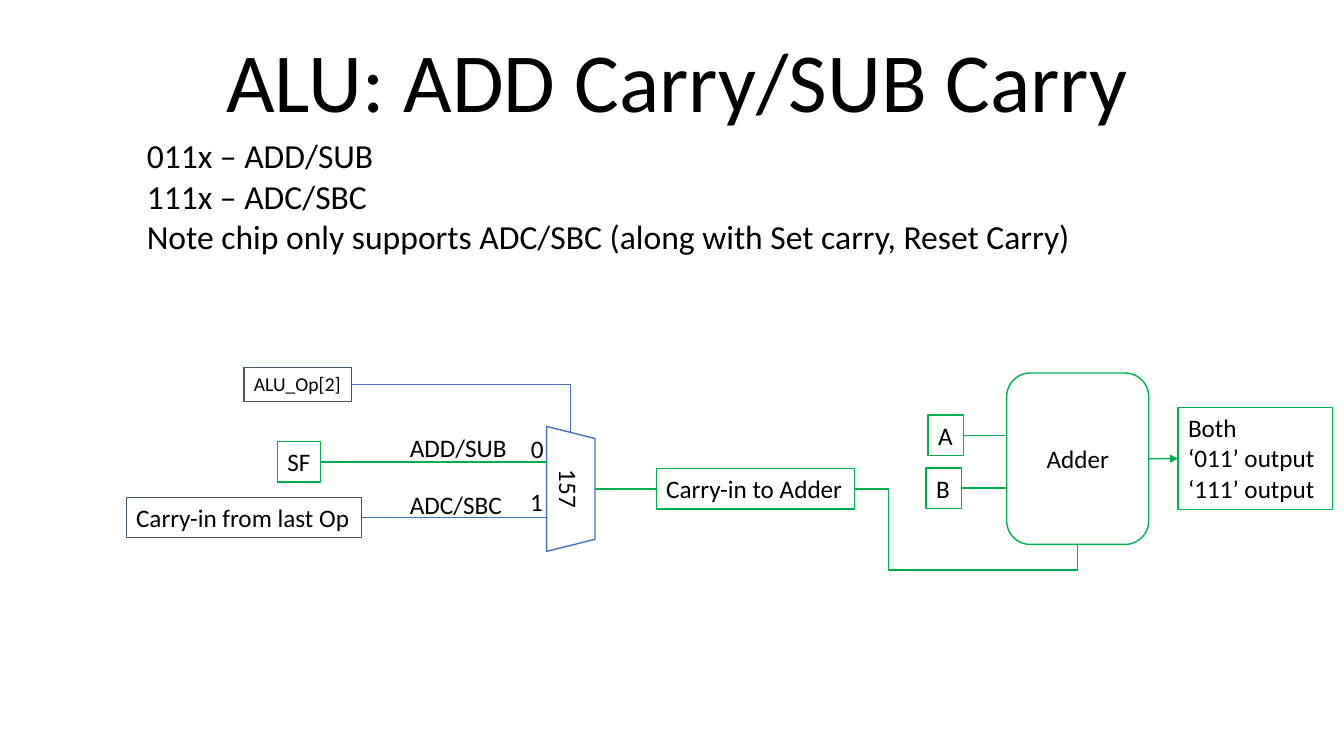
from lxml.etree import SubElement
from pptx import Presentation
from pptx.dml.color import RGBColor
from pptx.enum.shapes import MSO_CONNECTOR, MSO_SHAPE
from pptx.enum.text import MSO_ANCHOR, MSO_AUTO_SIZE, PP_ALIGN
from pptx.oxml.ns import qn
from pptx.util import Cm, Pt

BLACK = RGBColor(0x00, 0x00, 0x00)
WHITE = RGBColor(0xFF, 0xFF, 0xFF)
GREEN = RGBColor(0x00, 0xB0, 0x50)
BLUE = RGBColor(0x44, 0x72, 0xC4)
SLATE = RGBColor(0x44, 0x54, 0x6A)
FONT = "Calibri"
ROW = 1.02  # height of a one-line box, cm


def write(frame, lines, size, align=PP_ALIGN.LEFT, space=1.0):
    for i, line in enumerate(lines):
        para = frame.paragraphs[0] if i == 0 else frame.add_paragraph()
        para.alignment = align
        para.line_spacing = space
        run = para.add_run()
        run.text = line
        run.font.name = FONT
        run.font.size = Pt(size)
        run.font.color.rgb = BLACK


def place(box, x, y, w, h):
    return Cm(box[0] + x), Cm(box[1] + y), Cm(w), Cm(h)


def label(slide, area, text):
    frame = slide.shapes.add_textbox(*area).text_frame
    frame.word_wrap = False
    frame.auto_size = MSO_AUTO_SIZE.SHAPE_TO_FIT_TEXT
    write(frame, [text], 18)


def outline(slide, kind, area, color, width=1):
    shape = slide.shapes.add_shape(kind, *area)
    shape.shadow.inherit = False
    shape.line.color.rgb = color
    shape.line.width = Pt(width)
    return shape


def tag(slide, area, lines, color=GREEN, width=1, size=18):
    """An unfilled box that hugs its text."""
    shape = outline(slide, MSO_SHAPE.RECTANGLE, area, color, width)
    shape.fill.background()
    frame = shape.text_frame
    frame.word_wrap = False
    frame.auto_size = MSO_AUTO_SIZE.SHAPE_TO_FIT_TEXT
    frame.vertical_anchor = MSO_ANCHOR.TOP
    write(frame, lines, size)
    return shape


def block(slide, kind, area, text, color):
    """A white box with centred text."""
    shape = outline(slide, kind, area, color)
    shape.fill.solid()
    shape.fill.fore_color.rgb = WHITE
    shape.text_frame.vertical_anchor = MSO_ANCHOR.MIDDLE
    write(shape.text_frame, [text], 18, PP_ALIGN.CENTER)
    return shape


def middle(shape):
    return shape.top + shape.height // 2


def link(slide, kind, start, end, color, width):
    line = slide.shapes.add_connector(kind, *start, *end)
    line.line.color.rgb = color
    line.line.width = Pt(width)
    SubElement(line.element.spPr, qn("a:effectLst"))
    return line


def wire(slide, left, right, color=GREEN, width=1):
    """A level line; each end is a box or an x position."""
    y = middle(right if isinstance(left, int) else left)
    start = left if isinstance(left, int) else left.left + left.width
    end = right if isinstance(right, int) else right.left
    line = link(slide, MSO_CONNECTOR.STRAIGHT, (start, y), (end, y), color, width)
    if not isinstance(left, int):
        line.begin_connect(left, 3)
    if not isinstance(right, int):
        line.end_connect(right, 1)
    return line


def elbow(slide, start, end, color, width, preset, bends=()):
    line = link(slide, MSO_CONNECTOR.ELBOW, start, end, color, width)
    geom = line.element.spPr.find(qn("a:prstGeom"))
    geom.set("prst", preset)
    guides = geom.find(qn("a:avLst"))
    if guides is None:
        guides = SubElement(geom, qn("a:avLst"))
    for i, bend in enumerate(bends, 1):
        SubElement(guides, qn("a:gd"), name=f"adj{i}", fmla=f"val {bend}")


def title(slide, box):
    shape = slide.shapes.title
    shape.left, shape.top, shape.width, shape.height = place(box, 0, 0, 25.4, 2.62)
    shape.text_frame.vertical_anchor = MSO_ANCHOR.BOTTOM
    write(shape.text_frame, ["ALU: ADD Carry/SUB Carry"], 60, PP_ALIGN.CENTER, 0.9)


def notes(slide, box):
    frame = slide.shapes.add_textbox(*place(box, 0, 0, 25.4, 4.6)).text_frame
    frame.word_wrap = True
    write(frame, [
        "011x – ADD/SUB",
        "111x – ADC/SBC",
        "Note chip only supports ADC/SBC (along with Set carry, Reset Carry)",
    ], 24)


def select(slide, box):
    """Multiplexer that picks the carry; returns the carry-in box."""
    mux = block(slide, MSO_SHAPE.TRAPEZOID, place(box, 9.63, 2.46, 3.15, 1.22),
                "157", BLUE)
    mux.rotation = 90
    mid = mux.left + mux.width // 2
    face, back = mid - mux.height // 2, mid + mux.height // 2

    # Inputs
    code = tag(slide, place(box, 2.97, 0, 2.72, 0.86), ["ALU_Op[2]"], SLATE, 0.75, 14)
    elbow(slide, (code.left + code.width, middle(code)), (mid, Cm(box[1] + 1.65)),
          BLUE, 0.5, "bentConnector2")
    sign = tag(slide, place(box, 3.81, 1.88, 1.09, ROW), ["SF"])
    wire(slide, sign, face)
    last = tag(slide, place(box, 0, 3.28, 5.94, ROW), ["Carry-in from last Op"],
               SLATE, 0.75)
    wire(slide, last, face, BLUE, 0.5)

    # Names of the two ways in
    for x, y, w, text in [(6.9, 1.52, 2.97, "ADD/SUB"), (6.9, 2.95, 2.84, "ADC/SBC"),
                          (9.95, 1.55, 0.84, "0"), (9.93, 2.87, 0.84, "1")]:
        label(slide, place(box, x, y, w, ROW), text)

    # Output
    carry = tag(slide, place(box, 13.36, 2.56, 5, ROW), ["Carry-in to Adder"])
    wire(slide, back, carry)
    return carry


def add(slide, box):
    """Adder with its operands and result; returns the adder."""
    adder = block(slide, MSO_SHAPE.ROUNDED_RECTANGLE, place(box, 2.03, 0, 3.58, 4.32),
                  "Adder", GREEN)
    for x, y, text in [(0.05, 1.06, "A"), (0, 2.39, "B")]:
        wire(slide, tag(slide, place(box, x, y, 0.89, ROW), [text]), adder.left)
    out = tag(slide, place(box, 6.35, 0.87, 3.89, 2.57),
              ["Both", "‘011’ output", "‘111’ output"])
    arrow = wire(slide, adder, out)
    SubElement(arrow.element.spPr.find(qn("a:ln")), qn("a:tailEnd"), type="triangle")
    return adder


def main():
    deck = Presentation()
    deck.slide_width, deck.slide_height = Cm(33.87), Cm(19.05)
    slide = deck.slides.add_slide(deck.slide_layouts[5])
    title(slide, (4.37, 0.79))
    notes(slide, (3.45, 3.28))
    carry = select(slide, (3.18, 9.25))
    adder = add(slide, (23.34, 9.4))

    # Carry into the bottom of the adder
    elbow(slide, (carry.left + carry.width, middle(carry)),
          (adder.left + adder.width // 2, adder.top + adder.height),
          GREEN, 1, "bentConnector4", (15100, 145900))
    deck.save("out.pptx")


if __name__ == "__main__":
    main()
